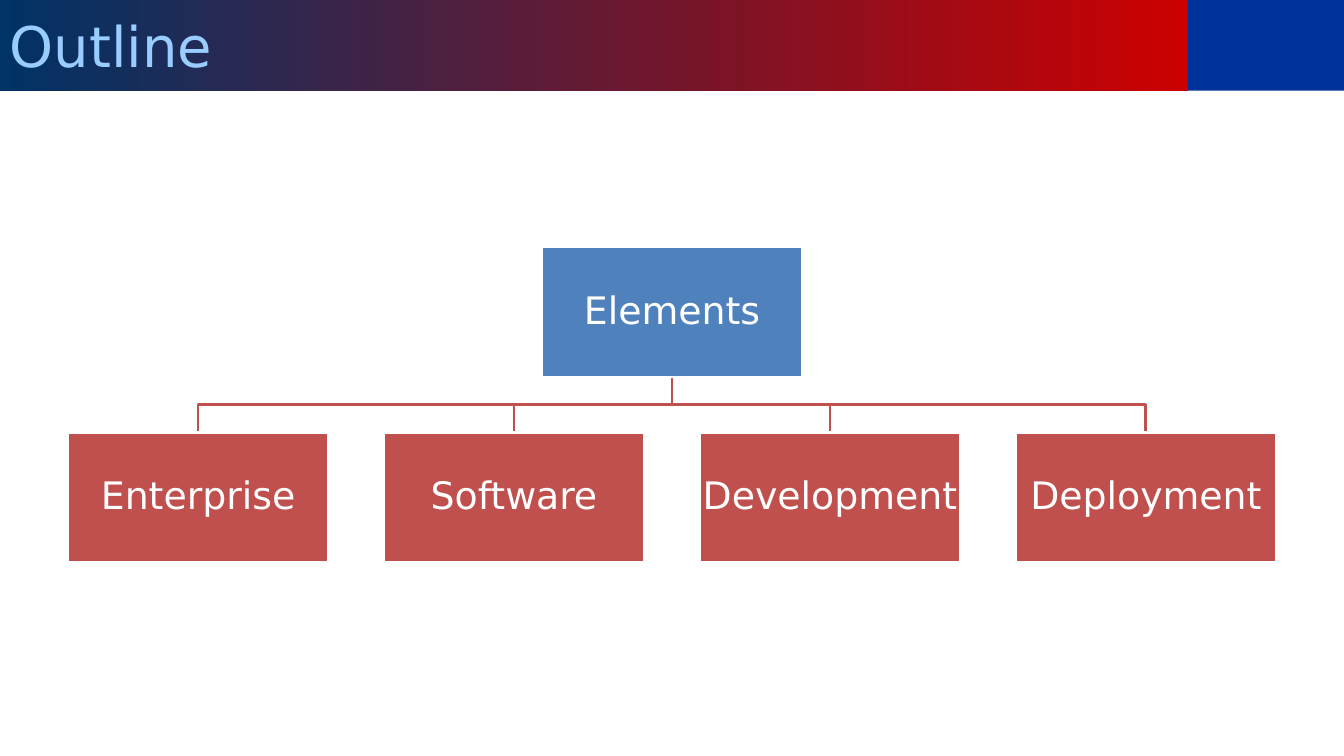
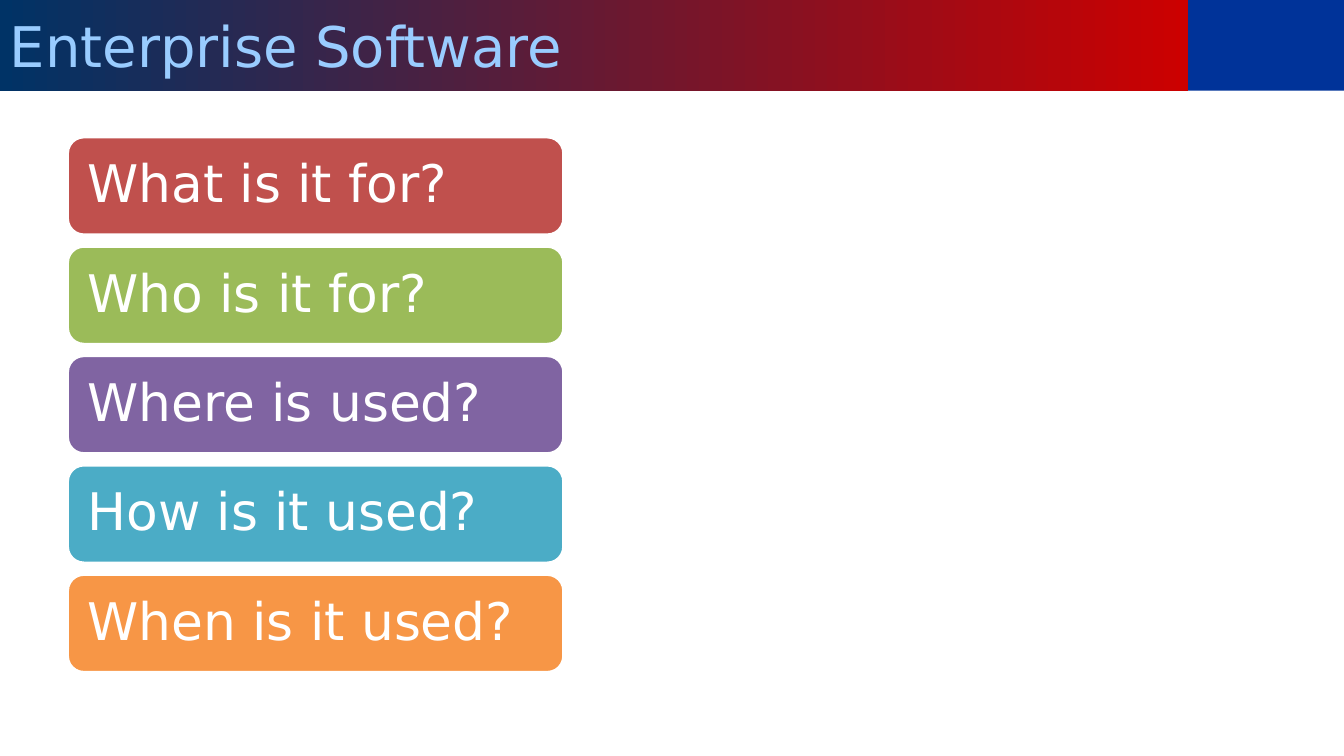
from pptx import Presentation
from pptx.dml.color import RGBColor
from pptx.enum.shapes import MSO_SHAPE
from pptx.enum.text import MSO_ANCHOR, PP_ALIGN
from pptx.util import Inches, Pt

FONT = "DejaVu Sans"
WHITE, BLUE, RED = "FFFFFF", "4F81BD", "C0504D"
CORNER, TITLE = "003399", "99CCFF"
BAND_START, BAND_END = "003366", "CC0000"

SLIDE_W, SLIDE_H = 13.33, 7.5
BAND_W, BAND_H = 11.78, 0.9
MARGIN = 0.67

ROOT = "Elements"
BRANCHES = ["Enterprise", "Software", "Development", "Deployment"]
QUESTIONS = [
    ("What is it for?", RED),
    ("Who is it for?", "9BBB59"),
    ("Where is used?", "8064A2"),
    ("How is it used?", "4BACC6"),
    ("When is it used?", "F79646"),
]


def rgb(color):
    return RGBColor.from_string(color)


def set_line(sp, color):
    sp.line.color.rgb = rgb(color)
    sp.line.width = Pt(2)


def add_box(slide, kind, x, y, w, h, fill=None, line=None):
    sp = slide.shapes.add_shape(kind, Inches(x), Inches(y), Inches(w), Inches(h))
    sp.shadow.inherit = False
    if fill:
        sp.fill.solid()
        sp.fill.fore_color.rgb = rgb(fill)
    if line:
        set_line(sp, line)
    else:
        sp.line.fill.background()
    return sp


def set_text(sp, text, size, color=WHITE, align=PP_ALIGN.LEFT, inset=None, spacing=None):
    tf = sp.text_frame
    tf.text = text
    tf.word_wrap = True
    tf.vertical_anchor = MSO_ANCHOR.MIDDLE
    if inset is not None:
        tf.margin_left = tf.margin_right = tf.margin_top = tf.margin_bottom = Inches(inset)
    p = tf.paragraphs[0]
    p.alignment = align
    p.line_spacing = spacing
    font = p.runs[0].font
    font.name, font.size = FONT, Pt(size)
    font.color.rgb = rgb(color)


def add_bent_line(slide, points):
    start, *rest = [(Inches(x), Inches(y)) for x, y in points]
    builder = slide.shapes.build_freeform(*start)
    builder.add_line_segments(rest, close=False)
    sp = builder.convert_to_shape()
    sp.shadow.inherit = False
    sp.fill.background()
    set_line(sp, RED)


def add_titled_slide(prs, title):
    """Blank slide with the gradient title band and the corner block."""
    slide = prs.slides.add_slide(prs.slide_layouts[6])
    add_box(slide, MSO_SHAPE.RECTANGLE, BAND_W, 0, SLIDE_W - BAND_W, BAND_H, CORNER)
    band = add_box(slide, MSO_SHAPE.RECTANGLE, 0, 0, BAND_W, BAND_H)
    band.fill.gradient()
    band.fill.gradient_angle = 0
    for stop, position, color in zip(band.fill.gradient_stops, (0, 1), (BAND_START, BAND_END)):
        stop.position = position
        stop.color.rgb = rgb(color)
    set_text(band, title, 40, TITLE)
    return slide


def add_node(slide, text, x, y, w, h, fill):
    sp = add_box(slide, MSO_SHAPE.RECTANGLE, x, y, w, h, fill, WHITE)
    set_text(sp, text, 27, align=PP_ALIGN.CENTER, inset=0.02, spacing=0.9)


def add_tree(slide):
    w, h = 2.59, 1.29
    root_y, branch_y = 2.45, 4.29
    root_bottom = root_y + h
    bus_y = (root_bottom + branch_y) / 2
    mid = SLIDE_W / 2
    step = (SLIDE_W - 2 * MARGIN - w) / (len(BRANCHES) - 1)
    lefts = [MARGIN + i * step for i in range(len(BRANCHES))]

    # Lines come first so that the white box borders cover their ends.
    for x in reversed(lefts):
        center = x + w / 2
        add_bent_line(slide, [(mid, root_bottom), (mid, bus_y),
                              (center, bus_y), (center, branch_y)])
    add_node(slide, ROOT, mid - w / 2, root_y, w, h, BLUE)
    for text, x in zip(BRANCHES, lefts):
        add_node(slide, text, x, branch_y, w, h, RED)


def add_questions(slide):
    top, last_top = 1.36, 5.7
    step = (last_top - top) / (len(QUESTIONS) - 1)
    for i, (text, color) in enumerate(QUESTIONS):
        sp = add_box(slide, MSO_SHAPE.ROUNDED_RECTANGLE,
                     MARGIN, top + i * step, 4.92, 0.97, color, WHITE)
        set_text(sp, text, 37, inset=0.15, spacing=0.9)


def main():
    prs = Presentation()
    prs.slide_width, prs.slide_height = Inches(SLIDE_W), Inches(SLIDE_H)
    add_tree(add_titled_slide(prs, "Outline"))
    add_questions(add_titled_slide(prs, "Enterprise Software"))
    prs.save("out.pptx")


if __name__ == "__main__":
    main()
